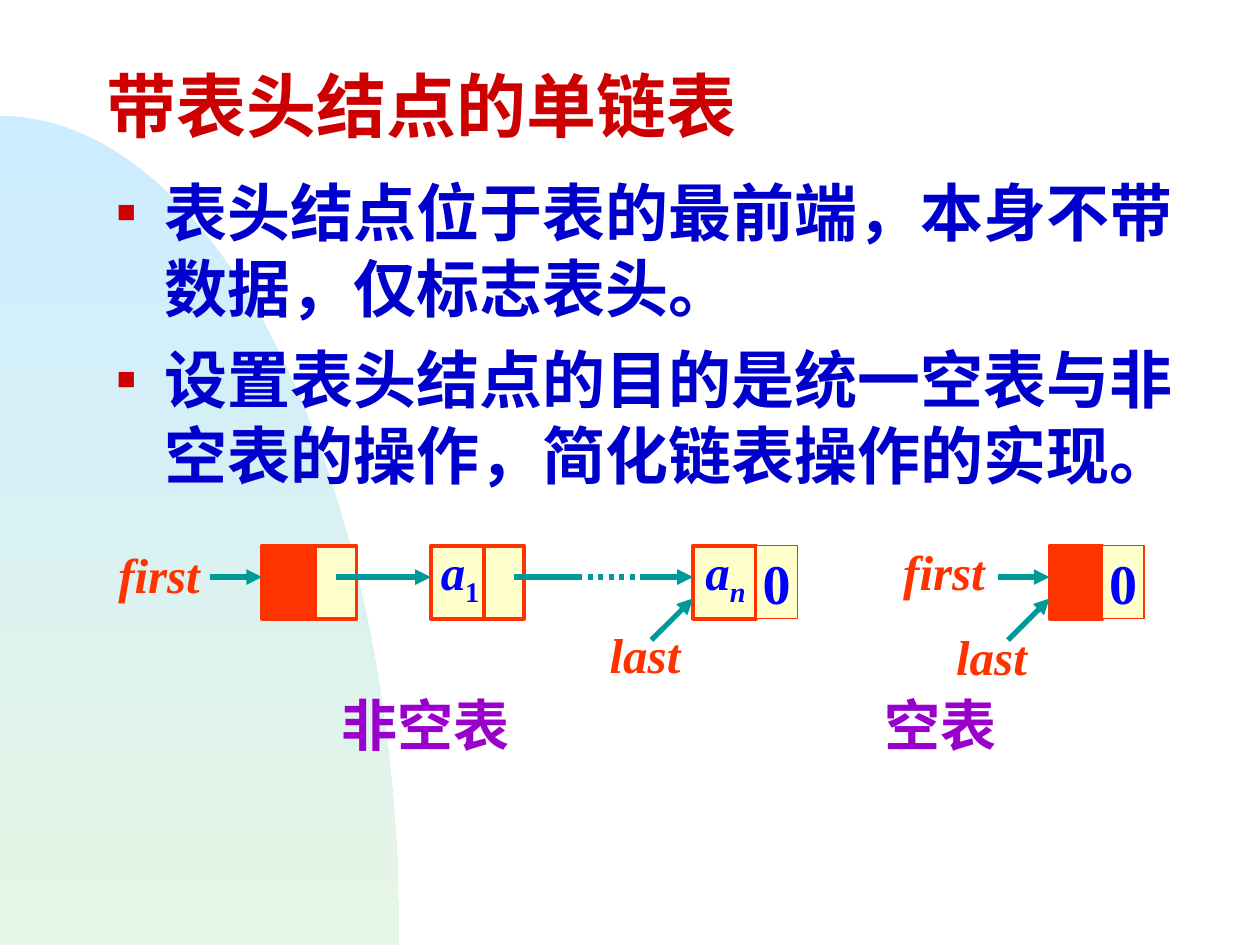
from math import cos, pi, sin
from typing import NamedTuple, Optional

from lxml.etree import SubElement
from pptx import Presentation
from pptx.dml.color import RGBColor
from pptx.enum.dml import MSO_LINE
from pptx.enum.shapes import MSO_CONNECTOR, MSO_SHAPE
from pptx.enum.text import MSO_ANCHOR, PP_ALIGN
from pptx.oxml.ns import qn
from pptx.util import Inches, Pt

TITLE_RED = RGBColor(0xCC, 0x00, 0x00)
BODY_BLUE = RGBColor(0x00, 0x00, 0xCC)
VALUE_BLUE = RGBColor(0x00, 0x00, 0xFF)
NODE_RED = RGBColor(0xFF, 0x33, 0x00)
NODE_CREAM = RGBColor(0xFF, 0xFF, 0xCC)
ARROW_TEAL = RGBColor(0x00, 0x99, 0x99)
CAPTION_PURPLE = RGBColor(0x99, 0x00, 0xCC)
ARC_TOP = RGBColor(0xCC, 0xEC, 0xFF)
ARC_BOTTOM = RGBColor(0xE6, 0xF6, 0xE6)
SERIF = "Times New Roman"
SANS = "Noto Sans CJK SC"

ROW_TOP, ROW_HEIGHT, ARROW_Y = 4.33, 0.58, 4.58
DATA_WIDTH, LINK_WIDTH = 0.42, 0.33


class Style(NamedTuple):
    size: float
    color: RGBColor
    name: str = SERIF
    italic: bool = False


class Cell(NamedTuple):
    left: float
    width: float
    fill: RGBColor = NODE_CREAM
    border: float = 2.25
    text: str = ""


class Arrow(NamedTuple):
    start: tuple[float, float]
    end: tuple[float, float]
    head: bool = True
    dash: Optional[MSO_LINE] = None


class Label(NamedTuple):
    left: float
    top: float
    width: float
    height: float
    text: str
    style: Style
    subscript: str = ""
    subscript_italic: bool = False
    inset: float = 0.1


TITLE = Style(40, TITLE_RED)
BODY = Style(36, BODY_BLUE)
POINTER = Style(28, NODE_RED, italic=True)
ELEMENT = Style(28, VALUE_BLUE, italic=True)
ZERO = Style(32, VALUE_BLUE)
CAPTION = Style(32, CAPTION_PURPLE, SANS)

BULLETS = (
    "表头结点位于表的最前端，本身不带数据，仅标志表头。",
    "设置表头结点的目的是统一空表与非空表的操作，简化链表操作的实现。",
)
CELLS = (
    Cell(2.5, LINK_WIDTH),
    Cell(2.08, DATA_WIDTH, NODE_RED),
    Cell(3.83, LINK_WIDTH),
    Cell(3.42, DATA_WIDTH),
    Cell(5.5, 0.5),
    Cell(6, LINK_WIDTH, border=0.75, text="0"),
    Cell(8.33, DATA_WIDTH, NODE_RED),
    Cell(8.75, LINK_WIDTH, border=0.75, text="0"),
)
ARROWS = (
    Arrow((1.67, ARROW_Y), (2.08, ARROW_Y)),
    Arrow((2.67, ARROW_Y), (3.42, ARROW_Y)),
    Arrow((4.08, ARROW_Y), (4.58, ARROW_Y), head=False),
    Arrow((4.58, ARROW_Y), (5.08, ARROW_Y), head=False, dash=MSO_LINE.ROUND_DOT),
    Arrow((5.08, ARROW_Y), (5.5, ARROW_Y)),
    Arrow((5.17, 5.08), (5.5, 4.75)),
    Arrow((7.92, ARROW_Y), (8.33, ARROW_Y)),
    Arrow((8, 5.08), (8.33, 4.75)),
)
LABELS = (
    Label(0.84, 4.27, 0.95, 0.57, "first", POINTER),
    Label(4.74, 4.91, 0.85, 0.57, "last", POINTER),
    Label(7.07, 4.25, 0.95, 0.57, "first", POINTER),
    Label(7.49, 4.92, 0.85, 0.57, "last", POINTER),
    Label(3.4, 4.25, 0.6, 0.63, "a", ELEMENT, "1"),
    Label(5.5, 4.25, 0.6, 0.63, "a", ELEMENT, "n", True),
    Label(2.59, 5.42, 1.75, 0.66, "非空表", CAPTION, inset=0.12),
    Label(6.9, 5.42, 1.3, 0.66, "空表", CAPTION, inset=0.12),
)


def add_span(para, text: str, style: Style):
    """Add a bold run in the given style."""
    span = para.add_run()
    span.text = text
    formats = {"size": Pt(style.size), "name": style.name, "bold": True, "italic": style.italic}
    for key, value in formats.items():
        setattr(span.font, key, value)
    span.font.color.rgb = style.color
    SubElement(span._r.get_or_add_rPr(), qn("a:ea"), typeface=SANS)
    return span


def add_box(page, left: float, top: float, width: float, height: float, inset: float = 0.1):
    """Add a text box and return its text frame."""
    frame = page.shapes.add_textbox(Inches(left), Inches(top), Inches(width), Inches(height)).text_frame
    formats = {
        "word_wrap": True,
        "margin_left": Inches(inset),
        "margin_right": Inches(inset),
        "margin_top": Inches(inset / 2),
        "margin_bottom": Inches(inset / 2),
    }
    for key, value in formats.items():
        setattr(frame, key, value)
    return frame


def add_arc(page) -> None:
    """Draw the gradient quarter ellipse in the lower left corner."""
    radius_x, radius_y, bottom, steps = 3.17, 6.58, 7.5, 90
    angles = [pi / 2 * step / steps for step in range(steps + 1)]
    points = [(Inches(radius_x * sin(angle)), Inches(bottom - radius_y * cos(angle))) for angle in angles]
    builder = page.shapes.build_freeform(0, Inches(bottom))
    builder.add_line_segments(points, close=True)
    arc = builder.convert_to_shape()
    arc.shadow.inherit = False
    arc.line.fill.background()
    arc.fill.gradient()
    arc.fill.gradient_angle = 270
    for stop, color in zip(arc.fill.gradient_stops, (ARC_TOP, ARC_BOTTOM)):
        stop.color.rgb = color


def add_title(page, text: str) -> None:
    """Add the slide heading."""
    frame = add_box(page, 0.75, 0.5, 5.42, 0.83)
    frame.vertical_anchor = MSO_ANCHOR.MIDDLE
    para = frame.paragraphs[0]
    para.line_spacing = 0.7
    add_span(para, text, TITLE)


def add_bullets(page, texts: tuple[str, ...]) -> None:
    """Add the bulleted body text."""
    frame = add_box(page, 0.83, 1.33, 8.75, 2.67)
    for index, text in enumerate(texts):
        para = frame.add_paragraph() if index else frame.paragraphs[0]
        if index:
            para.space_before = Pt(9)
        props = para._p.get_or_add_pPr()
        props.set("marL", str(Inches(0.38)))
        props.set("indent", str(Inches(-0.38)))
        SubElement(SubElement(props, qn("a:buClr")), qn("a:srgbClr"), val=str(TITLE_RED))
        SubElement(props, qn("a:buSzPct"), val="50000")
        SubElement(props, qn("a:buFont"), typeface=SERIF)
        SubElement(props, qn("a:buChar"), char="■")
        add_span(para, text, BODY)


def add_cell(page, cell: Cell) -> None:
    """Draw one field of a list node."""
    box = page.shapes.add_shape(
        MSO_SHAPE.RECTANGLE, Inches(cell.left), Inches(ROW_TOP), Inches(cell.width), Inches(ROW_HEIGHT))
    box.shadow.inherit = False
    box.fill.solid()
    box.fill.fore_color.rgb = cell.fill
    box.line.color.rgb = NODE_RED
    box.line.width = Pt(cell.border)
    if cell.text:
        frame = box.text_frame
        frame.word_wrap = False
        frame.vertical_anchor = MSO_ANCHOR.MIDDLE
        para = frame.paragraphs[0]
        para.alignment = PP_ALIGN.CENTER
        add_span(para, cell.text, ZERO)


def add_arrow(page, arrow: Arrow) -> None:
    """Draw a pointer line with an optional head and dash."""
    connector = page.shapes.add_connector(
        MSO_CONNECTOR.STRAIGHT, *(Inches(value) for value in arrow.start + arrow.end))
    connector.line.color.rgb = ARROW_TEAL
    connector.line.width = Pt(3)
    if arrow.dash:
        connector.line.dash_style = arrow.dash
    if arrow.head:
        SubElement(connector.line._get_or_add_ln(), qn("a:tailEnd"), type="triangle")
    SubElement(connector._element.spPr, qn("a:effectLst"))


def add_label(page, label: Label) -> None:
    """Add a short label with an optional subscript."""
    para = add_box(page, *label[:4], inset=label.inset).paragraphs[0]
    add_span(para, label.text, label.style)
    if label.subscript:
        span = add_span(para, label.subscript, label.style._replace(italic=label.subscript_italic))
        span._r.get_or_add_rPr().set("baseline", "-25000")


def main() -> None:
    """Build the slide and save it."""
    deck = Presentation()
    deck.slide_width, deck.slide_height = Inches(10), Inches(7.5)
    page = deck.slides.add_slide(deck.slide_layouts[6])
    add_arc(page)
    add_title(page, "带表头结点的单链表")
    add_bullets(page, BULLETS)
    for draw, items in ((add_cell, CELLS), (add_arrow, ARROWS), (add_label, LABELS)):
        for item in items:
            draw(page, item)
    deck.save("out.pptx")


if __name__ == "__main__":
    main()
